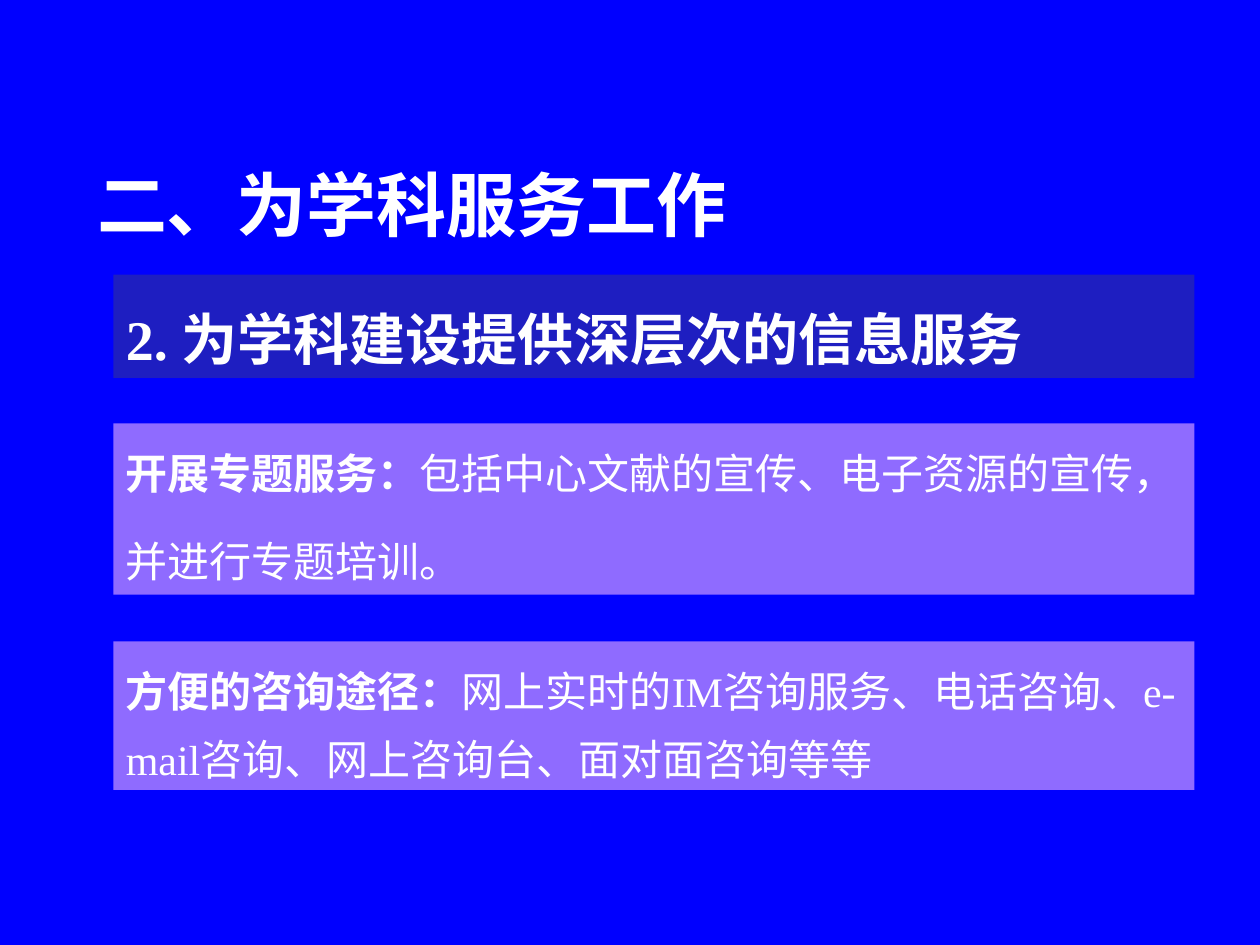
import dataclasses

import pptx
import pptx.dml.color
import pptx.enum.shapes
import pptx.enum.text
import pptx.oxml.ns
import pptx.util
from lxml import etree

Inches = pptx.util.Inches


@dataclasses.dataclass(frozen=True)
class Theme:
    background: str = "0000FF"
    text: str = "FFFFFF"
    heading_fill: str = "333399"
    panel_fill: str = "CC99FF"
    heading_opacity: int = 60
    panel_opacity: int = 70
    font: str = "Times New Roman"
    title_size: int = 40
    heading_size: int = 32
    body_size: int = 24
    line_spacing: float = 1.35


def color(value):
    return pptx.dml.color.RGBColor.from_string(value)


class SlideBuilder:
    """Holds the theme and the current slide."""

    left, width = 0.9, 8.58

    def __init__(self, presentation, theme):
        self.theme = theme
        self.slide = presentation.slides.add_slide(presentation.slide_layouts[5])
        fill = self.slide.background.fill
        fill.solid()
        fill.fore_color.rgb = color(theme.background)

    def style_text(self, shape, size, bold=None):
        frame = shape.text_frame
        frame.word_wrap = True
        frame.auto_size = pptx.enum.text.MSO_AUTO_SIZE.NONE
        frame.vertical_anchor = pptx.enum.text.MSO_ANCHOR.TOP
        paragraph = frame.paragraphs[0]
        paragraph.alignment = pptx.enum.text.PP_ALIGN.LEFT
        font = paragraph.font
        font.name = self.theme.font
        font.size = pptx.util.Pt(size)
        font.bold = bold
        font.color.rgb = color(self.theme.text)
        return paragraph

    def title(self, text):
        title = self.slide.shapes.title
        title.left, title.top = Inches(0.67), Inches(1.23)
        title.width, title.height = Inches(6.62), Inches(0.77)
        title.text_frame.text = text
        self.style_text(title, self.theme.title_size, True)

    def box(self, top, height, fill, opacity):
        shape = self.slide.shapes.add_shape(
            pptx.enum.shapes.MSO_SHAPE.RECTANGLE,
            Inches(self.left), Inches(top), Inches(self.width), Inches(height))
        shape.shadow.inherit = False
        shape.line.fill.background()
        shape.fill.solid()
        shape.fill.fore_color.rgb = color(fill)
        # Fill transparency
        rgb = next(shape.element.spPr.iter(pptx.oxml.ns.qn("a:srgbClr")))
        alpha = etree.SubElement(rgb, pptx.oxml.ns.qn("a:alpha"))
        alpha.set("val", str(opacity * 1000))
        return shape

    def heading(self, top, height, text):
        theme = self.theme
        shape = self.box(top, height, theme.heading_fill, theme.heading_opacity)
        shape.text_frame.text = text
        paragraph = self.style_text(shape, theme.heading_size, True)
        paragraph.line_spacing = theme.line_spacing
        # Hanging indent for the number
        properties = paragraph._p.get_or_add_pPr()
        properties.set("marL", str(Inches(0.3)))
        properties.set("indent", str(Inches(-0.3)))

    def panel(self, top, height, label, text, space_after):
        theme = self.theme
        shape = self.box(top, height, theme.panel_fill, theme.panel_opacity)
        paragraph = self.style_text(shape, theme.body_size)
        paragraph.line_spacing = theme.line_spacing
        paragraph.space_after = pptx.util.Pt(space_after)
        for content, bold in ((label, True), (text, False)):
            run = paragraph.add_run()
            run.text = content
            run.font.bold = bold
        return paragraph


def main():
    presentation = pptx.Presentation()
    presentation.slide_width = Inches(10)
    presentation.slide_height = Inches(7.5)
    theme = Theme()
    builder = SlideBuilder(presentation, theme)

    # Title and section heading
    builder.title("二、为学科服务工作")
    builder.heading(2.18, 0.82, "2. 为学科建设提供深层次的信息服务")

    # Service panels
    training = builder.panel(
        3.36, 1.36, "开展专题服务：",
        "包括中心文献的宣传、电子资源的宣传，并进行专题培训。", 4)
    # A larger closing space sets the height of the last line
    closing = training.add_run()
    closing.text = " "
    closing.font.size = pptx.util.Pt(theme.heading_size)
    builder.panel(
        5.09, 1.18, "方便的咨询途径：",
        "网上实时的IM咨询服务、电话咨询、e-mail咨询、网上咨询台、面对面咨询等等", 3)

    presentation.save("out.pptx")


if __name__ == "__main__":
    main()
